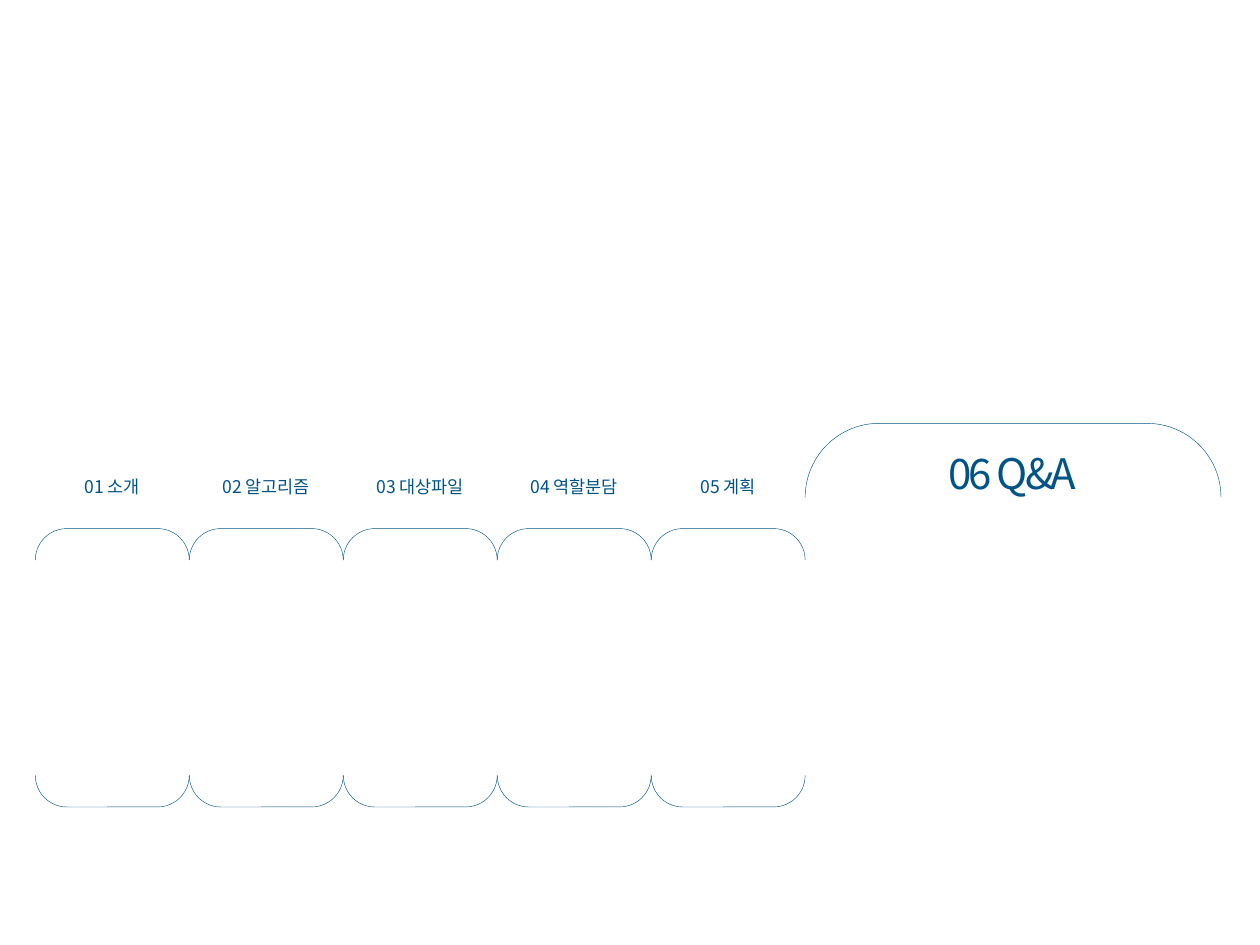
from pptx import Presentation
from pptx.dml.color import RGBColor
from pptx.enum.shapes import MSO_SHAPE
from pptx.enum.text import MSO_ANCHOR, MSO_AUTO_SIZE, PP_ALIGN
from pptx.oxml.ns import qn
from pptx.util import Inches, Pt

BRACKETS = MSO_SHAPE.DOUBLE_BRACKET
MIDDLE = MSO_ANCHOR.MIDDLE
NO_AUTOFIT = MSO_AUTO_SIZE.NONE
CENTER = PP_ALIGN.CENTER

SECTIONS = ["01 소개", "02 알고리즘", "03 대상파일", "04 역할분담", "05 계획"]
CURRENT_SECTION = "06 Q&A"
FONT = "Noto Sans CJK KR"
BLUE = "005387"

SLIDE_WIDTH, SLIDE_HEIGHT = 10, 7.5
TABS_LEFT, TABS_RIGHT, CURRENT_RIGHT = 0.28, 6.39, 9.69
TAB_PITCH = (TABS_RIGHT - TABS_LEFT) / len(SECTIONS)
TAB_MIDDLE, TAB_HEIGHT = 5.3, 2.21
CURRENT_MIDDLE, CURRENT_HEIGHT = 6, 5.28
LABEL_TOP, LABEL_WIDTH, LABEL_HEIGHT = 3.73, 1.67, 0.27


def color(hex_value):
    return RGBColor.from_string(hex_value)


def add_tab(slide, center, middle, width, height, roundness):
    tab = slide.shapes.add_shape(
        BRACKETS, Inches(center - height / 2), Inches(middle - width / 2),
        Inches(height), Inches(width))
    tab.rotation = 90
    tab.adjustments[0] = roundness
    tab.shadow.inherit = False
    tab.fill.background()
    tab.line.color.rgb = color(BLUE)
    tab.line.width = Pt(0.25)


def write_label(label, wording, size, spacing=0):
    frame = label.text_frame
    frame.word_wrap = True
    frame.auto_size = NO_AUTOFIT
    frame.vertical_anchor = MIDDLE
    paragraph = frame.paragraphs[0]
    paragraph.alignment = CENTER
    run = paragraph.add_run()
    run.text = wording
    run.font.size = Pt(size)
    run.font.name = FONT
    run.font.color.rgb = color(BLUE)
    properties = run.font._element
    east_asian = properties.makeelement(qn("a:ea"), {"typeface": FONT})
    properties.find(qn("a:latin")).addnext(east_asian)
    if spacing:
        properties.set("spc", str(int(spacing * 100)))


def main():
    deck = Presentation()
    deck.slide_width = Inches(SLIDE_WIDTH)
    deck.slide_height = Inches(SLIDE_HEIGHT)
    slide = deck.slides.add_slide(deck.slide_layouts[5])

    title = slide.shapes.title
    title.left, title.top = Inches(6.67), Inches(3.5)
    title.width, title.height = Inches(2.73), Inches(0.5)
    write_label(title, CURRENT_SECTION, 24, -1.5)
    add_tab(slide, (TABS_RIGHT + CURRENT_RIGHT) / 2, CURRENT_MIDDLE,
            CURRENT_RIGHT - TABS_RIGHT, CURRENT_HEIGHT, 0.178)

    for column, section in enumerate(SECTIONS):
        center = TABS_LEFT + (column + 0.5) * TAB_PITCH
        add_tab(slide, center, TAB_MIDDLE, TAB_PITCH, TAB_HEIGHT, 0.205)
        label = slide.shapes.add_textbox(
            Inches(center - LABEL_WIDTH / 2), Inches(LABEL_TOP),
            Inches(LABEL_WIDTH), Inches(LABEL_HEIGHT))
        write_label(label, section, 10)

    deck.save("out.pptx")


if __name__ == "__main__":
    main()
